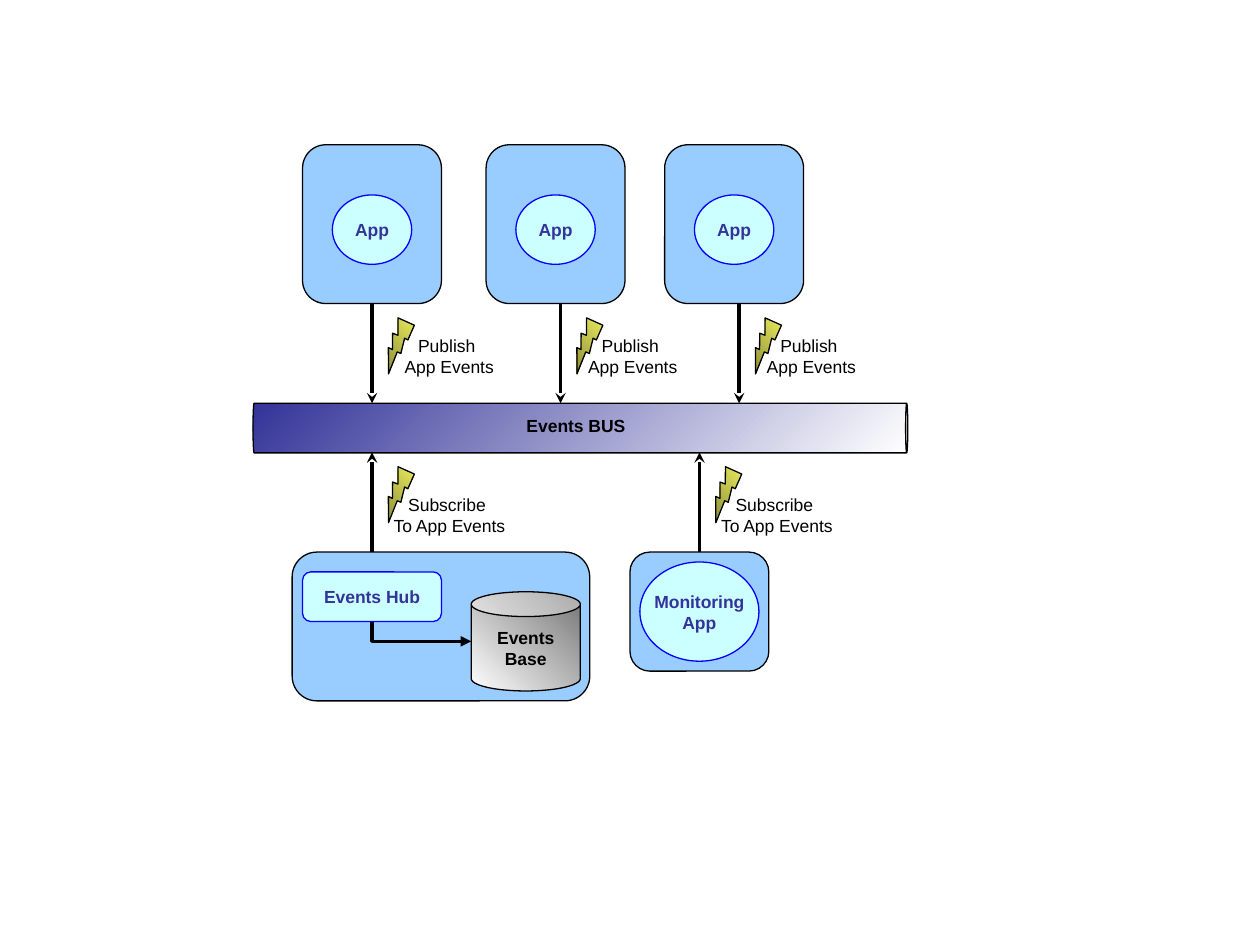
import pptx
import pptx.dml.color
import pptx.enum.shapes
import pptx.enum.text
import pptx.oxml
import pptx.oxml.ns
import pptx.util
from pptx.util import Cm

SHAPES = pptx.enum.shapes.MSO_SHAPE
CONNECTORS = pptx.enum.shapes.MSO_CONNECTOR
BLACK = pptx.dml.color.RGBColor(0x00, 0x00, 0x00)
WHITE = pptx.dml.color.RGBColor(0xFF, 0xFF, 0xFF)
BLUE = pptx.dml.color.RGBColor(0x00, 0x00, 0xFF)
NAVY = pptx.dml.color.RGBColor(0x33, 0x33, 0x99)
SKY = pptx.dml.color.RGBColor(0x99, 0xCC, 0xFF)
AQUA = pptx.dml.color.RGBColor(0xCC, 0xFF, 0xFF)
GREY = pptx.dml.color.RGBColor(0x75, 0x75, 0x75)
YELLOW = pptx.dml.color.RGBColor(0xFF, 0xFF, 0x66)
OLIVE = pptx.dml.color.RGBColor(0x75, 0x75, 0x2F)

# Vertical positions in centimetres
CARD_BOTTOM = 6.12
BUS_TOP, BUS_BOTTOM = 8.13, 9.12
LOWER_TOP = 11.13


def write_text(shape, lines, color=BLACK, bold=False, wrap=False):
    frame = shape.text_frame
    frame.word_wrap = wrap
    for index, line in enumerate(lines):
        paragraph = frame.add_paragraph() if index else frame.paragraphs[0]
        paragraph.alignment = pptx.enum.text.PP_ALIGN.CENTER
        run = paragraph.add_run()
        run.text = line
        run.font.name = "Arial"
        run.font.size = pptx.util.Pt(10)
        run.font.bold = bold
        run.font.color.rgb = color


def add_label(slide, left, top, width, height, lines, bold=False, wrap=False):
    label = slide.shapes.add_textbox(Cm(left), Cm(top), Cm(width), Cm(height))
    write_text(label, lines, bold=bold, wrap=wrap)
    return label


def add_block(slide, kind, left, top, width, height, fill=SKY, line=BLACK):
    shape = slide.shapes.add_shape(kind, Cm(left), Cm(top), Cm(width), Cm(height))
    shape.shadow.inherit = False
    shape.fill.solid()
    shape.fill.fore_color.rgb = fill
    shape.line.color.rgb = line
    shape.line.width = pptx.util.Pt(0.75)
    return shape


def add_node(slide, kind, left, top, width, height, lines):
    node = add_block(slide, kind, left, top, width, height, AQUA, BLUE)
    write_text(node, lines, NAVY, bold=True)


def apply_gradient(shape, start, end, clockwise_angle, turns_with_shape=True):
    shape.fill.gradient()
    shape.fill.gradient_angle = 360 - clockwise_angle
    for stop, position, color in zip(shape.fill.gradient_stops, (0, 1), (start, end)):
        stop.position = position
        stop.color.rgb = color
    gradient = shape._element.spPr.find(pptx.oxml.ns.qn("a:gradFill"))
    gradient.set("rotWithShape", "1" if turns_with_shape else "0")


def add_arrow(slide, kind, x1, y1, x2, y2, head):
    arrow = slide.shapes.add_connector(kind, Cm(x1), Cm(y1), Cm(x2), Cm(y2))
    arrow.line.color.rgb = BLACK
    arrow.line.width = pptx.util.Pt(2)
    namespace = pptx.oxml.ns.nsdecls("a")
    arrow.line._get_or_add_ln().append(
        pptx.oxml.parse_xml(f'<a:tailEnd {namespace} type="{head}"/>'))
    arrow._element.spPr.append(pptx.oxml.parse_xml(f"<a:effectLst {namespace}/>"))
    return arrow


def add_event_flow(slide, x, start, end, bolt_top):
    """Arrow to the bus with a lightning bolt beside it."""
    add_arrow(slide, CONNECTORS.STRAIGHT, x, start, x, end, "stealth")
    bolt = add_block(slide, SHAPES.LIGHTNING_BOLT, x + 0.1, bolt_top, 0.8, 1)
    bolt.rotation = 54
    apply_gradient(bolt, YELLOW, OLIVE, 81)


def add_publisher(slide, left, arrow_x):
    add_block(slide, SHAPES.ROUNDED_RECTANGLE, left, 2.92, 2.8, 3.2)
    add_node(slide, SHAPES.OVAL, left + 0.6, 3.93, 1.6, 1.4, ["App"])
    add_label(slide, left + 1.8, 6.62, 2.31, 1.12, ["Publish ", "App Events"])
    add_event_flow(slide, arrow_x, CARD_BOTTOM, BUS_TOP, 6.42)


def add_subscription(slide, arrow_x):
    add_label(slide, arrow_x + 0.15, 9.83, 2.82, 1.12, ["Subscribe ", "To App Events"])
    add_event_flow(slide, arrow_x, LOWER_TOP, BUS_BOTTOM, 9.42)


def add_bus(slide):
    bus = add_block(slide, SHAPES.CAN, 11.2, 2.03, 1, 13.2)
    bus.rotation = 90
    bus.adjustments[0] = 0.044
    apply_gradient(bus, NAVY, WHITE, 45, turns_with_shape=False)
    label = add_label(slide, 5.31, 8.25, 12.6, 0.69, ["Events BUS"], bold=True, wrap=True)
    label.text_frame.paragraphs[0].space_before = pptx.util.Pt(6.2)


def add_hub(slide):
    add_block(slide, SHAPES.ROUNDED_RECTANGLE, 5.89, LOWER_TOP, 6, 3)
    database = add_block(slide, SHAPES.CAN, 9.5, 11.93, 2.2, 2)
    apply_gradient(database, GREY, WHITE, 135)
    write_text(database, ["Events", "Base"], bold=True)
    add_node(slide, SHAPES.ROUNDED_RECTANGLE, 6.1, 11.53, 2.8, 1, ["Events Hub"])

    # One-bend connector: down from the hub, then right to the database
    link = add_arrow(slide, CONNECTORS.ELBOW, 8.3, 11.73, 8.7, 13.73, "triangle")
    link._element.spPr.find(pptx.oxml.ns.qn("a:prstGeom")).set("prst", "bentConnector2")
    transform = link._element.spPr.find(pptx.oxml.ns.qn("a:xfrm"))
    transform.set("rot", str(270 * 60000))
    transform.set("flipH", "1")


def add_monitor(slide):
    add_block(slide, SHAPES.ROUNDED_RECTANGLE, 12.7, LOWER_TOP, 2.8, 2.4)
    add_node(slide, SHAPES.OVAL, 12.9, 11.33, 2.4, 2, ["Monitoring", "App"])


def main():
    presentation = pptx.Presentation()
    presentation.slide_width = Cm(25.4)
    presentation.slide_height = Cm(19.05)
    slide = presentation.slides.add_slide(presentation.slide_layouts[6])

    # Bus and the applications that publish to it
    add_bus(slide)
    for left, arrow_x in ((6.1, 7.5), (9.8, 11.3), (13.4, 14.9)):
        add_publisher(slide, left, arrow_x)

    # Subscribers below the bus
    add_hub(slide)
    add_monitor(slide)
    for arrow_x in (7.5, 14.1):
        add_subscription(slide, arrow_x)

    presentation.save("out.pptx")


if __name__ == "__main__":
    main()
